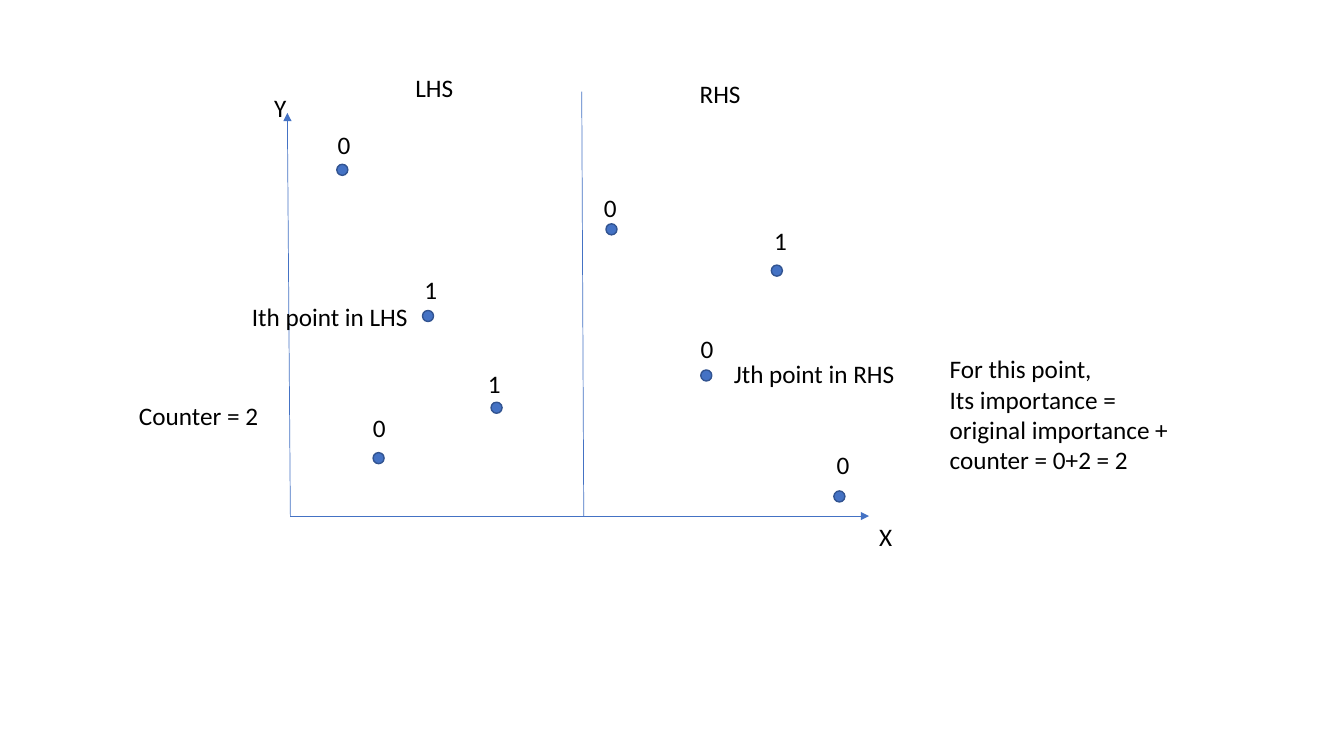
from lxml.etree import SubElement
from pptx import Presentation
from pptx.dml.color import RGBColor
from pptx.enum.shapes import MSO_CONNECTOR, MSO_SHAPE
from pptx.oxml.ns import qn
from pptx.util import Inches, Pt

COLORS = {"blue": "4472C4", "edge": "325491", "text": "000000"}
DOT = 0.11
ROW = 0.4

# Dot left and top in the plot, importance, label shift from the dot
POINTS = [
    (0.46, 0.51, "0", -0.09, -0.40),
    (1.31, 1.96, "1", -0.08, -0.41),
    (1.99, 2.87, "1", -0.13, -0.39),
    (0.82, 3.37, "0", -0.10, -0.45),
    (3.13, 1.10, "0", -0.12, -0.36),
    (4.77, 1.51, "1", -0.07, -0.44),
    (4.07, 2.55, "0", -0.10, -0.41),
    (5.39, 3.75, "0", -0.07, -0.46),
]


def color(name):
    return RGBColor.from_string(COLORS[name])


def add_text(slide, text, x, y, w, h=ROW, size=18, font="Calibri", ink="text"):
    box = slide.shapes.add_textbox(Inches(x), Inches(y), Inches(w), Inches(h))
    frame = box.text_frame
    frame.word_wrap = True
    frame.text = text
    for para in frame.paragraphs:
        para.font.size = Pt(size)
        para.font.name = font
        para.font.color.rgb = color(ink)


def add_line(slide, x1, y1, x2, y2, arrow=False):
    line = slide.shapes.add_connector(
        MSO_CONNECTOR.STRAIGHT, Inches(x1), Inches(y1), Inches(x2), Inches(y2))
    line.line.color.rgb = color("blue")
    line.line.width = Pt(0.5)
    if arrow:
        SubElement(line.line._get_or_add_ln(), qn("a:tailEnd"), type="triangle")
    SubElement(line._element.spPr, qn("a:effectLst"))


def add_dot(slide, x, y):
    dot = slide.shapes.add_shape(
        MSO_SHAPE.OVAL, Inches(x), Inches(y), Inches(DOT), Inches(DOT))
    dot.shadow.inherit = False
    dot.fill.solid()
    dot.fill.fore_color.rgb = color("blue")
    dot.line.color.rgb = color("edge")
    dot.line.width = Pt(1)


def add_plot(slide, x, y, w, h):
    # Axes and the divider between the halves
    base = y + h
    add_line(slide, x, base, x + w, base, arrow=True)
    add_line(slide, x, base, x - 0.03, y, arrow=True)
    add_line(slide, x + 2.89, y - 0.21, x + 2.91, base)

    # Axis names and half titles
    add_text(slide, "Y", x - 0.26, y - 0.25, 0.33)
    add_text(slide, "X", x + w, base, 0.41)
    add_text(slide, "LHS", x + 1.14, y - 0.45, 1.41)
    add_text(slide, "RHS", x + 3.96, y - 0.39, 1.41)

    # Points with their importance
    for left, top, value, dx, dy in POINTS:
        add_dot(slide, x + left, y + top)
        add_text(slide, value, x + left + dx, y + top + dy, 0.36)

    # Names of the compared points
    add_text(slide, "Ith point in LHS", x - 0.48, y + 1.82, 1.91)
    add_text(slide, "Jth point in RHS", x + 4.3, y + 2.39, 1.91)


def add_notes(slide, x, y, w, h):
    # Counter on the left, result on the right
    add_text(slide, "Counter = 2", x, y + 0.46, 1.92)
    note = ("For this point,\n"
            "Its importance = original importance + counter = 0+2 = 2")
    add_text(slide, note, x + w - 2.37, y, 2.37, h)


def main():
    deck = Presentation()
    deck.slide_width = Inches(13.33)
    deck.slide_height = Inches(7.5)
    slide = deck.slides.add_slide(deck.slide_layouts[6])
    add_plot(slide, 2.88, 1.12, 5.74, 4)
    add_notes(slide, 1.28, 3.46, 10.41, 1.31)
    deck.save("out.pptx")


if __name__ == "__main__":
    main()
